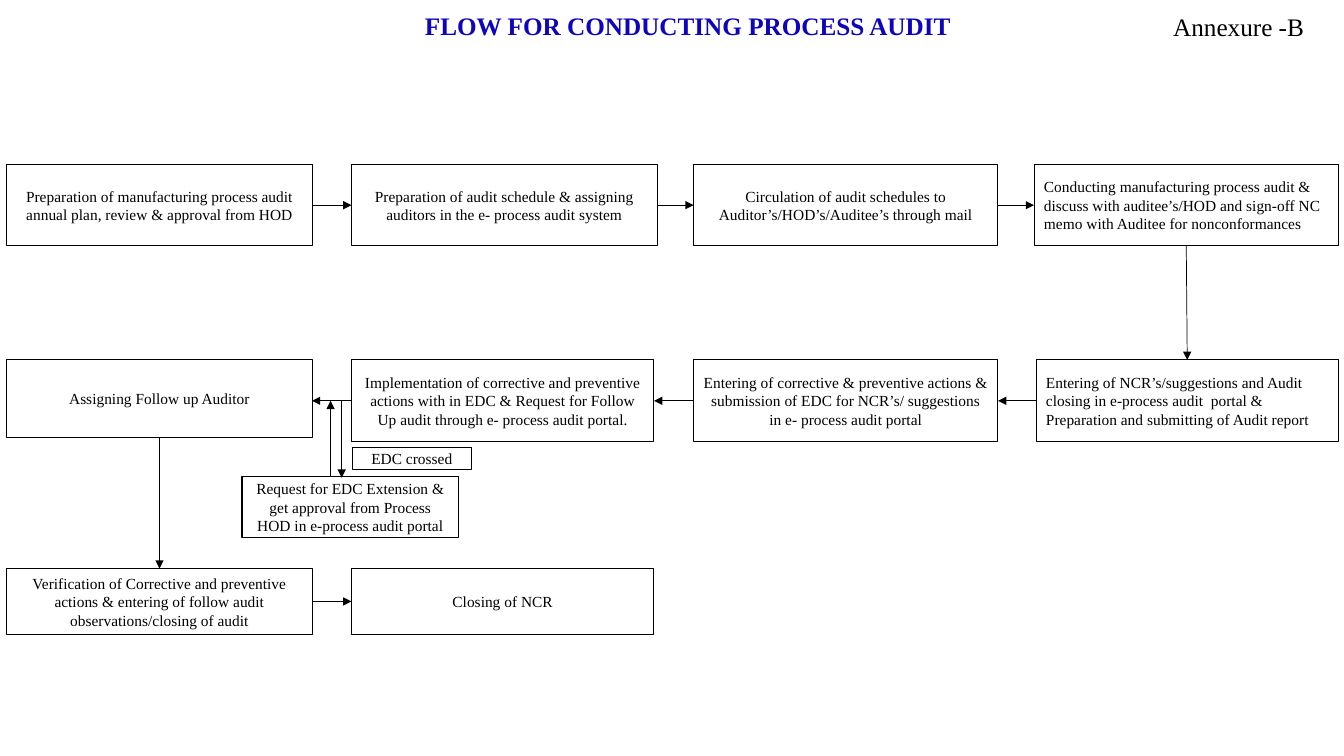
"""Build the process audit flow slide."""
from dataclasses import dataclass

from lxml import etree
from pptx import Presentation
from pptx.dml.color import RGBColor
from pptx.enum.shapes import MSO_CONNECTOR, MSO_SHAPE
from pptx.enum.text import MSO_ANCHOR, MSO_AUTO_SIZE, PP_ALIGN
from pptx.oxml.ns import qn
from pptx.util import Cm, Pt

RECT, STRAIGHT = MSO_SHAPE.RECTANGLE, MSO_CONNECTOR.STRAIGHT
LEFT, CENTER = PP_ALIGN.LEFT, PP_ALIGN.CENTER
TOP, MIDDLE = MSO_ANCHOR.TOP, MSO_ANCHOR.MIDDLE
FIT = MSO_AUTO_SIZE.SHAPE_TO_FIT_TEXT
SIDE_TOP, SIDE_LEFT, SIDE_BOTTOM, SIDE_RIGHT = range(4)


@dataclass(frozen=True)
class Theme:
    """Colours, font, type sizes and line widths of the slide."""
    ink: RGBColor = RGBColor(0x00, 0x00, 0x00)
    paper: RGBColor = RGBColor(0xFF, 0xFF, 0xFF)
    title: RGBColor = RGBColor(0x0D, 0x04, 0xBC)
    font: str = "Times New Roman"
    heading_size: Pt = Pt(18)
    step_size: Pt = Pt(11)
    border: Pt = Pt(0.75)
    arrow: Pt = Pt(0.5)


THEME = Theme()
COL_X = (0.16, 8.86, 17.48, 26.06)
COL_W = (7.72, 7.7, 7.67, 7.67)
PLAN_Y, REPORT_Y, VERIFY_Y = 4.14, 9.07, 14.33
STEP_H, ASSIGN_H, VERIFY_H = 2.06, 1.96, 1.65
REPORT_X, REPORT_W = 26.11, 7.62

PLAN_STEPS = (
    ("Preparation of manufacturing process audit annual plan, "
     "review & approval from HOD", CENTER),
    ("Preparation of audit schedule & assigning auditors "
     "in the e- process audit system", CENTER),
    ("Circulation of audit schedules to "
     "Auditor’s/HOD’s/Auditee’s through mail", CENTER),
    ("Conducting manufacturing process audit & discuss with auditee’s/HOD "
     "and sign-off NC memo with Auditee for nonconformances", LEFT),
)
ENTER_NCR = ("Entering of NCR’s/suggestions and Audit closing in e-process "
             "audit  portal & Preparation and submitting of Audit report")
ENTER_ACTIONS = ("Entering of corrective & preventive actions & submission of "
                 "EDC for NCR’s/ suggestions in e- process audit portal")
IMPLEMENT = ("Implementation of corrective and preventive actions with in EDC "
             "& Request for Follow Up audit through e- process audit portal.")
EXTENSION = ("Request for EDC Extension & get approval from Process HOD "
             "in e-process audit portal")
VERIFY = ("Verification of Corrective and preventive actions & entering of "
          "follow audit observations/closing of audit")


def write(shape, text, size, color, align, anchor, bold=False):
    """Put one styled run of text into a shape."""
    tf = shape.text_frame
    tf.word_wrap = True
    tf.vertical_anchor = anchor
    p = tf.paragraphs[0]
    p.alignment = align
    r = p.add_run()
    r.text = text
    r.font.name, r.font.size, r.font.bold = THEME.font, size, bold
    r.font.color.rgb = color
    return tf


def add_step(s, text, x, y, w, h, align=CENTER):
    """Add one bordered box of the flow."""
    sp = s.shapes.add_shape(RECT, Cm(x), Cm(y), Cm(w), Cm(h))
    sp.shadow.inherit = False
    sp.fill.solid()
    sp.fill.fore_color.rgb = THEME.paper
    sp.line.color.rgb = THEME.ink
    sp.line.width = THEME.border
    write(sp, text, THEME.step_size, THEME.ink, align, MIDDLE)
    return sp


def add_heading(s, text, x, y, w, h, color, align, anchor, bold=False):
    """Add a large text label and return its text frame."""
    tb = s.shapes.add_textbox(Cm(x), Cm(y), Cm(w), Cm(h))
    return write(tb, text, THEME.heading_size, color, align, anchor, bold)


def add_arrow(s, x1=0, y1=0, x2=0, y2=0):
    """Add a thin line with a triangle at its end."""
    c = s.shapes.add_connector(STRAIGHT, Cm(x1), Cm(y1), Cm(x2), Cm(y2))
    c.line.color.rgb = THEME.ink
    c.line.width = THEME.arrow
    etree.SubElement(c.line._get_or_add_ln(), qn("a:tailEnd"), type="triangle")
    etree.SubElement(c._element.spPr, qn("a:effectLst"))
    return c


def join(s, start, start_side, end, end_side):
    """Join two boxes with an arrow."""
    c = add_arrow(s)
    c.begin_connect(start, start_side)
    c.end_connect(end, end_side)


def main():
    """Build and save the slide."""
    prs = Presentation()
    prs.slide_width, prs.slide_height = Cm(33.87), Cm(19.05)
    s = prs.slides.add_slide(prs.slide_layouts[6])

    plan = [add_step(s, text, x, PLAN_Y, w, STEP_H, align)
            for (text, align), x, w in zip(PLAN_STEPS, COL_X, COL_W)]
    report = add_step(s, ENTER_NCR, REPORT_X, REPORT_Y, REPORT_W, STEP_H, LEFT)
    actions = add_step(s, ENTER_ACTIONS, COL_X[2], REPORT_Y, COL_W[2], STEP_H)
    implement = add_step(s, IMPLEMENT, COL_X[1], REPORT_Y, REPORT_W, STEP_H)
    add_step(s, EXTENSION, 6.1, 12, 5.46, 1.55)
    add_step(s, "EDC crossed", 8.88, 11.28, 3, 0.56)
    assign = add_step(s, "Assigning Follow up Auditor",
                      COL_X[0], REPORT_Y, COL_W[0], ASSIGN_H)
    verify = add_step(s, VERIFY, COL_X[0], VERIFY_Y, COL_W[0], VERIFY_H)
    close = add_step(s, "Closing of NCR",
                     COL_X[1], VERIFY_Y, REPORT_W, VERIFY_H)

    for start, end in [*zip(plan, plan[1:]), (verify, close)]:
        join(s, start, SIDE_RIGHT, end, SIDE_LEFT)
    for start, end in ((report, actions), (actions, implement)):
        join(s, start, SIDE_LEFT, end, SIDE_RIGHT)
    for start, end in ((plan[-1], report), (assign, verify)):
        join(s, start, SIDE_BOTTOM, end, SIDE_TOP)

    follow_up_y = REPORT_Y + STEP_H / 2
    to_assign = add_arrow(s, COL_X[1], follow_up_y, 7.86, follow_up_y)
    to_assign.begin_connect(implement, SIDE_LEFT)
    add_arrow(s, 8.61, follow_up_y, 8.61, 12.04)
    add_arrow(s, 8.33, 12.02, 8.33, follow_up_y)

    title = add_heading(s, "FLOW FOR CONDUCTING PROCESS AUDIT", 10.46, 0.13,
                        14.05, 1.02, THEME.title, LEFT, TOP, bold=True)
    title.word_wrap = False
    title.auto_size = FIT
    add_heading(s, "Annexure -B", 28.7, 0.25, 5.03, 0.84,
                THEME.ink, CENTER, MIDDLE)
    prs.save("out.pptx")


if __name__ == "__main__":
    main()
